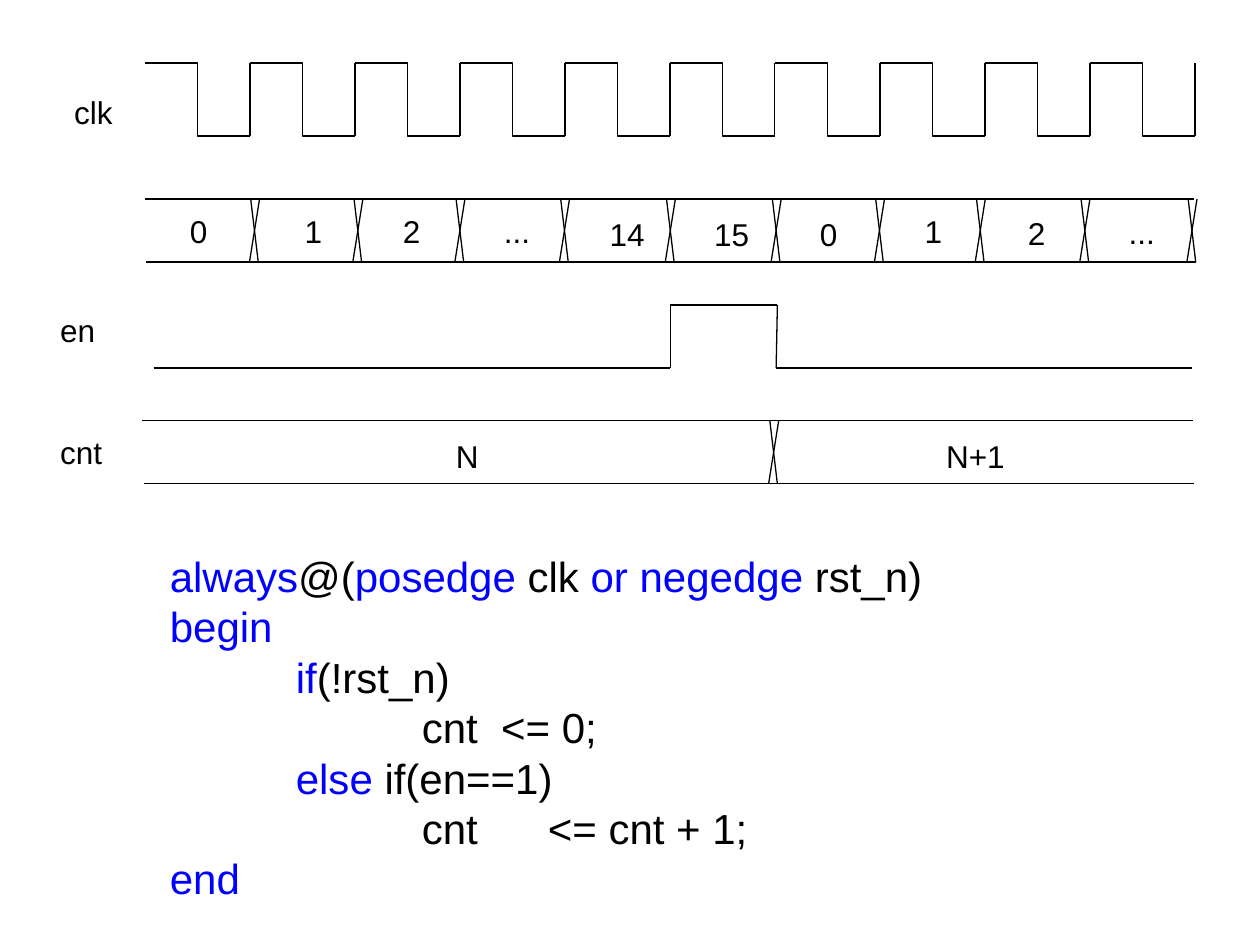
"""Build a slide with a counter timing diagram and its Verilog code."""
import lxml.etree
import pptx
import pptx.dml.color
import pptx.enum.shapes
import pptx.enum.text
import pptx.oxml.ns
import pptx.util

Inches = pptx.util.Inches
CONNECTOR = pptx.enum.shapes.MSO_CONNECTOR
AUTO_SIZE = pptx.enum.text.MSO_AUTO_SIZE

COLOURS = {"text": "000000", "keyword": "0000FF", "line": "000000"}

SIGNAL_LABELS = [("clk", 0.49, 0.69, 0.56), ("en", 0.38, 2.42, 0.54), ("cnt", 0.38, 3.39, 0.6)]
COUNT_LABELS = [
    ("0", 1.41, 1.63, 0.34), ("1", 2.32, 1.63, 0.34), ("2", 3.1, 1.63, 0.34),
    ("...", 3.9, 1.63, 0.41), ("14", 4.74, 1.66, 0.48), ("15", 5.57, 1.66, 0.48),
    ("0", 6.41, 1.66, 0.34), ("1", 7.24, 1.63, 0.34), ("2", 8.06, 1.65, 0.34),
    ("...", 8.86, 1.64, 0.41),
]
VALUE_LABELS = [("N", 3.52, 3.42, 0.38), ("N+1", 7.41, 3.42, 1.02)]
CODE = [
    [("always", "keyword"), ("@(", "text"), ("posedge", "keyword"), (" clk ", "text"),
     ("or negedge", "keyword"), (" rst_n)", "text")],
    [("begin", "keyword")],
    [("\t", "text"), ("if", "keyword"), ("(!rst_n)", "text")],
    [("\t\tcnt  <= 0;", "text")],
    [("\t", "text"), ("else", "keyword"), (" if(en==1)", "text")],
    [("\t\tcnt\t<= cnt + 1;", "text")],
    [("end", "keyword")],
]

CLOCK_START, CLOCK_TOP, CLOCK_BOTTOM = 1.15, 0.5, 1.08
CLOCK_PERIOD, CLOCK_CYCLES = 5 / 6, 10
BUS_HEIGHT = 0.5
BUSES = [
    {"left": 1.15, "right": 9.48, "top": 1.58,
     "crossings": [1.98, 2.8, 3.61, 4.44, 5.28, 6.12, 6.94, 7.74, 8.57, 9.42]},
    {"left": 1.13, "right": 9.47, "top": 3.34, "crossings": [6.1]},
]
ENABLE_POINTS = [(1.22, 2.92), (5.32, 2.92), (5.32, 2.42), (6.17, 2.42), (6.16, 2.92), (9.46, 2.92)]


def add_line(slide, start, end, kind=CONNECTOR.STRAIGHT):
    connector = slide.shapes.add_connector(kind, *map(Inches, (*start, *end)))
    connector.line.color.rgb = pptx.dml.color.RGBColor.from_string(COLOURS["line"])
    connector.line.width = pptx.util.Pt(0.75)
    properties = connector._element.spPr
    lxml.etree.SubElement(properties, pptx.oxml.ns.qn("a:effectLst"))


def add_text(slide, lines, *, left, top, width, height=0.4, size=18, wrap=False, tabs=()):
    box = slide.shapes.add_textbox(*map(Inches, (left, top, width, height)))
    frame = box.text_frame
    frame.word_wrap = wrap
    frame.auto_size = AUTO_SIZE.SHAPE_TO_FIT_TEXT
    for index, line in enumerate(lines):
        paragraph = frame.add_paragraph() if index else frame.paragraphs[0]
        if tabs:
            properties = paragraph._p.get_or_add_pPr()
            tab_list = lxml.etree.SubElement(properties, pptx.oxml.ns.qn("a:tabLst"))
            for position in tabs:
                lxml.etree.SubElement(tab_list, pptx.oxml.ns.qn("a:tab"),
                                      pos=str(Inches(position)), algn="l")
        for text, colour in line:
            run = paragraph.add_run()
            run.text = text
            run.font.name = "Arial"
            run.font.size = pptx.util.Pt(size)
            run.font.color.rgb = pptx.dml.color.RGBColor.from_string(COLOURS[colour])


def add_clock(slide):
    for cycle in range(CLOCK_CYCLES):
        start = CLOCK_START + cycle * CLOCK_PERIOD
        end = start + CLOCK_PERIOD
        add_line(slide, (start, CLOCK_TOP), (end, CLOCK_BOTTOM), CONNECTOR.ELBOW)
        add_line(slide, (end, CLOCK_TOP), (end, CLOCK_BOTTOM))


def add_bus(slide, left, right, top, crossings):
    bottom = top + BUS_HEIGHT
    add_line(slide, (left, top), (right, top))
    add_line(slide, (left + 0.01, bottom), (right + 0.01, bottom))
    for crossing in crossings:
        add_line(slide, (crossing + 0.08, top), (crossing, bottom))
        add_line(slide, (crossing + 0.01, top), (crossing + 0.07, bottom))


def main():
    presentation = pptx.Presentation()
    presentation.slide_width, presentation.slide_height = Inches(10), Inches(7.5)
    slide = presentation.slides.add_slide(presentation.slide_layouts[6])
    add_clock(slide)
    for bus in BUSES:
        add_bus(slide, **bus)
    for start, end in zip(ENABLE_POINTS, ENABLE_POINTS[1:]):
        add_line(slide, start, end)
    for text, left, top, width in SIGNAL_LABELS + COUNT_LABELS + VALUE_LABELS:
        add_text(slide, [[(text, "text")]], left=left, top=top, width=width)
    add_text(slide, CODE, left=1.25, top=4.32, width=6.53, height=2.9,
             size=24, wrap=True, tabs=range(8))
    presentation.save("out.pptx")


if __name__ == "__main__":
    main()
